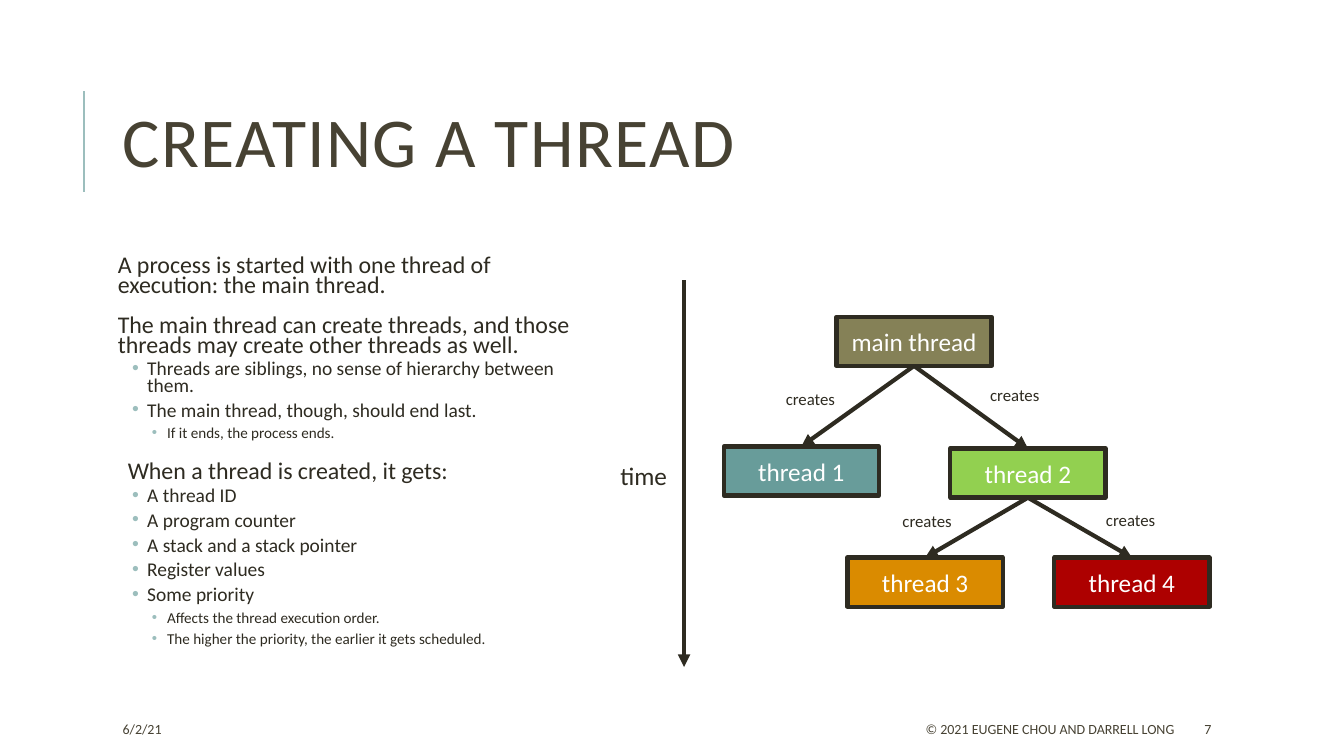
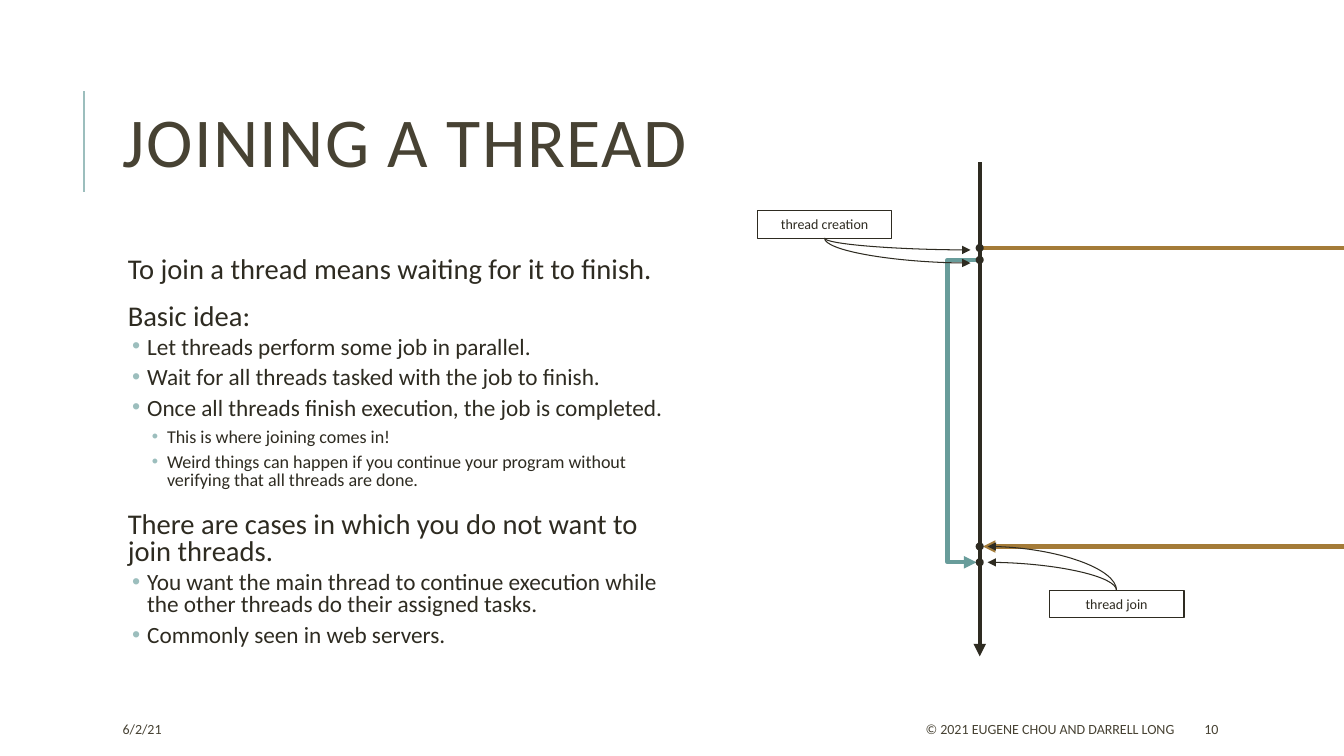
from lxml.etree import SubElement
from pptx import Presentation
from pptx.dml.color import RGBColor
from pptx.enum.shapes import MSO_CONNECTOR, MSO_SHAPE
from pptx.enum.text import MSO_ANCHOR, MSO_AUTO_SIZE, PP_ALIGN
from pptx.oxml.ns import qn
from pptx.util import Cm, Pt

FONT = "Calibri"
WHITE = RGBColor(0xFF, 0xFF, 0xFF)
INK = RGBColor(0x2E, 0x2B, 0x21)
BROWN = RGBColor(0x47, 0x42, 0x33)
MIST = RGBColor(0x9C, 0xBE, 0xBD)
OLIVE = RGBColor(0x85, 0x81, 0x57)
TEAL = RGBColor(0x68, 0x9C, 0x9A)
GREEN = RGBColor(0x92, 0xD0, 0x50)
AMBER = RGBColor(0xDA, 0x8B, 0x00)
RED = RGBColor(0xAD, 0x00, 0x00)
TAN = RGBColor(0xA4, 0x7B, 0x38)
WIDE, HIGH = 33.87, 19.05

MAKING = [
    (0, "A process is started with one thread of execution: the main thread."),
    (0, "The main thread can create threads, and those threads may create other threads as well."),
    (1, "Threads are siblings, no sense of hierarchy between them."),
    (1, "The main thread, though, should end last."),
    (2, "If it ends, the process ends."),
    (0, "When a thread is created, it gets:"),
    (1, "A thread ID"),
    (1, "A program counter"),
    (1, "A stack and a stack pointer"),
    (1, "Register values"),
    (1, "Some priority"),
    (2, "Affects the thread execution order."),
    (2, "The higher the priority, the earlier it gets scheduled."),
]
JOINING = [
    (0, "To join a thread means waiting for it to finish."),
    (0, "Basic idea:"),
    (1, "Let threads perform some job in parallel."),
    (1, "Wait for all threads tasked with the job to finish."),
    (1, "Once all threads finish execution, the job is completed."),
    (2, "This is where joining comes in!"),
    (2, "Weird things can happen if you continue your program without verifying that all threads are done."),
    (0, "There are cases in which you do not want to join threads."),
    (1, "You want the main thread to continue execution while the other threads do their assigned tasks."),
    (1, "Commonly seen in web servers."),
]


def place(shape, x, y, w, h):
    """Move and size a shape, in centimetres."""
    shape.left, shape.top, shape.width, shape.height = Cm(x), Cm(y), Cm(w), Cm(h)


def style(para, size, color, align=PP_ALIGN.LEFT):
    """Set the font and alignment of a paragraph."""
    para.alignment = align
    para.font.name, para.font.size = FONT, Pt(size)
    para.font.color.rgb = color


def stroke(shape, color, width, tip=None):
    """Style an outline, with an arrowhead where tip names an end."""
    shape.line.color.rgb, shape.line.width = color, Pt(width)
    if tip:
        SubElement(shape.line._get_or_add_ln(), qn(f"a:{tip}")).set("type", "triangle")


def link(slide, start, end, color=INK, width=3, tip="tailEnd", kind=MSO_CONNECTOR.STRAIGHT):
    """Draw a connector between two points."""
    line = slide.shapes.add_connector(kind, *(Cm(v) for v in (*start, *end)))
    stroke(line, color, width, tip)
    SubElement(line._element.spPr, qn("a:effectLst"))
    return line


def label(slide, text, box, size, color=INK, align=PP_ALIGN.CENTER, anchor=MSO_ANCHOR.TOP):
    """Add one line of plain text."""
    frame = slide.shapes.add_textbox(*(Cm(v) for v in box)).text_frame
    frame.word_wrap, frame.vertical_anchor = True, anchor
    frame.text = text
    style(frame.paragraphs[0], size, color, align)


def block(slide, kind, box, width, fill=None, text="", size=18, color=WHITE):
    """Add an outlined shape with centred text."""
    shape = slide.shapes.add_shape(kind, *(Cm(v) for v in box))
    shape.shadow.inherit = False
    stroke(shape, INK, width)
    if fill is None:
        shape.fill.background()
    else:
        shape.fill.solid()
        shape.fill.fore_color.rgb = fill
    if text:
        frame = shape.text_frame
        frame.text, frame.vertical_anchor = text, MSO_ANCHOR.MIDDLE
        style(frame.paragraphs[0], size, color, PP_ALIGN.CENTER)
    return shape


def bullet(para, level, flush):
    """Set the indent and bullet mark of a paragraph."""
    para.level = level
    props = para._p.get_or_add_pPr()
    props.set("marL", str(Cm((0 if flush else 0.25, 0.74, 1.24)[level])))
    props.set("indent", str(Cm(-0.38 if level else 0)))
    if level:
        tint = SubElement(SubElement(props, qn("a:buClr")), qn("a:srgbClr"))
        tint.set("val", str(MIST))
        SubElement(props, qn("a:buChar")).set("char", "•")
    else:
        SubElement(props, qn("a:buNone"))


def outline(body, items, box, sizes, pitch, flush=0):
    """Fill the body with a list of levels and texts."""
    place(body, *box)
    frame = body.text_frame
    frame.auto_size, frame.vertical_anchor = MSO_AUTO_SIZE.NONE, MSO_ANCHOR.TOP
    frame.margin_left = frame.margin_right = frame.margin_top = frame.margin_bottom = Cm(0.13)
    frame.text = "\n".join(text for _, text in items)
    for row, (para, (level, _)) in enumerate(zip(frame.paragraphs, items)):
        bullet(para, level, row < flush)
        para.line_spacing = pitch
        para.space_before = Pt(0 if row == 0 else 2 if level else 12)
        para.space_after = Pt(4 if level else 2)
        style(para, sizes[level], INK)


def page(deck, title, number):
    """Add a slide with its accent line, title and footer."""
    slide = deck.slides.add_slide(deck.slide_layouts[1])
    link(slide, (2.11, 4.83), (2.11, 2.29), MIST, 1.5, None)
    head = slide.shapes.title
    place(head, 2.84, 1.63, 27, 4.17)
    frame = head.text_frame
    frame.auto_size, frame.vertical_anchor = MSO_AUTO_SIZE.NONE, MSO_ANCHOR.MIDDLE
    frame.text = title
    para = frame.paragraphs[0]
    para.line_spacing = 0.8
    style(para, 50, BROWN)
    para.font._rPr.set("spc", "100")
    for text, x, w, align in (
        ("6/2/21", 2.84, 5.99, PP_ALIGN.LEFT),
        ("© 2021 EUGENE CHOU AND DARRELL LONG", 13.46, 16.38, PP_ALIGN.RIGHT),
        (str(number), 30.1, 2.69, PP_ALIGN.LEFT),
    ):
        label(slide, text, (x, 17.98, w, 0.76), 10, BROWN, align, MSO_ANCHOR.MIDDLE)
    return slide


def tree(slide, x, y):
    """Draw the tree of threads beside its time arrow."""
    nodes = {}
    for name, dx, dy, fill in (
        ("main thread", 2.84, 0, OLIVE),
        ("thread 1", 0, 3.27, TEAL),
        ("thread 2", 5.71, 3.32, GREEN),
        ("thread 4", 8.33, 6.07, RED),
        ("thread 3", 3.12, 6.07, AMBER),
    ):
        box = (x + dx, y + dy, 3.91, 1.24)
        nodes[name] = block(slide, MSO_SHAPE.RECTANGLE, box, 3, fill, name)
    for first, last, dx, dy in (
        ("main thread", "thread 1", 0.56, 1.7),
        ("main thread", "thread 2", 5.71, 1.6),
        ("thread 2", "thread 3", 3.5, 4.77),
        ("thread 2", "thread 4", 8.63, 4.75),
    ):
        line = link(slide, (x, y), (x, y))
        line.begin_connect(nodes[first], 2)
        line.end_connect(nodes[last], 0)
        label(slide, "creates", (x + dx, y + dy, 3.25, 0.76), 12)
    link(slide, (x - 1, y - 0.92), (x - 1, y + 8.83))
    label(slide, "time", (x - 2.97, y + 3.5, 1.9, 1.02), 18)


def curve(slide, tip, box, site):
    """Draw a curved arrow that points from a box to a tip."""
    foot = box.top if site == 0 else box.top + box.height
    end = ((box.left + box.width / 2) / Cm(1), foot / Cm(1))
    line = link(slide, tip, end, INK, 0.75, "headEnd", MSO_CONNECTOR.CURVE)
    line._element.spPr.find(qn("a:prstGeom")).set("prst", "curvedConnector2")
    line.end_connect(box, site)


def merge(slide, x, y):
    """Draw threads that leave the main thread and join it again."""
    axis, gap = x + 5.61, 0.08
    leave, part, join, meet = (y + dy for dy in (2.16, 2.46, 9.68, 10.08))
    link(slide, (axis, y), (axis, y + 12.45))
    link(slide, (axis + gap, leave), (WIDE, leave), TAN, tip=None)
    link(slide, (WIDE, join), (axis + gap, join), TAN)
    pen = slide.shapes.build_freeform(Cm(axis), Cm(part))
    pen.add_line_segments(
        [(Cm(a), Cm(b)) for a, b in ((axis - 0.81, part), (axis - 0.81, meet), (axis - gap, meet))],
        close=False,
    )
    side = pen.convert_to_shape()
    side.shadow.inherit = False
    side.fill.background()
    stroke(side, TEAL, 3, "tailEnd")
    for spot in (leave, part, join, meet):
        block(slide, MSO_SHAPE.OVAL, (axis - gap, spot - gap, 2 * gap, 2 * gap), 1.25, INK)
    for text, dx, dy, site, tip, ends in (
        ("thread creation", 0, 1.22, 2, axis - 0.23, (leave + 0.05, part + 0.08)),
        ("thread join", 7.36, 10.79, 0, axis + 0.2, (meet, join)),
    ):
        box = block(slide, MSO_SHAPE.RECTANGLE, (x + dx, y + dy, 3.4, 0.69), 0.75, None, text, 10, INK)
        for spot in ends:
            curve(slide, (tip, spot), box, site)


def main():
    """Build and save the deck."""
    deck = Presentation()
    deck.slide_width, deck.slide_height = Cm(WIDE), Cm(HIGH)
    slide = page(deck, "CREATING A THREAD", 7)
    outline(slide.placeholders[1], MAKING, (2.84, 6.35, 11.89, 11.18), (17.1, 13.9, 10.8), 0.7, 2)
    tree(slide, 18.24, 7.98)
    slide = page(deck, "JOINING A THREAD", 10)
    outline(slide.placeholders[1], JOINING, (2.84, 6.35, 14.33, 11.18), (20.4, 16.6, 12.9), 0.8)
    merge(slide, 19.08, 4.09)
    deck.save("out.pptx")


if __name__ == "__main__":
    main()
